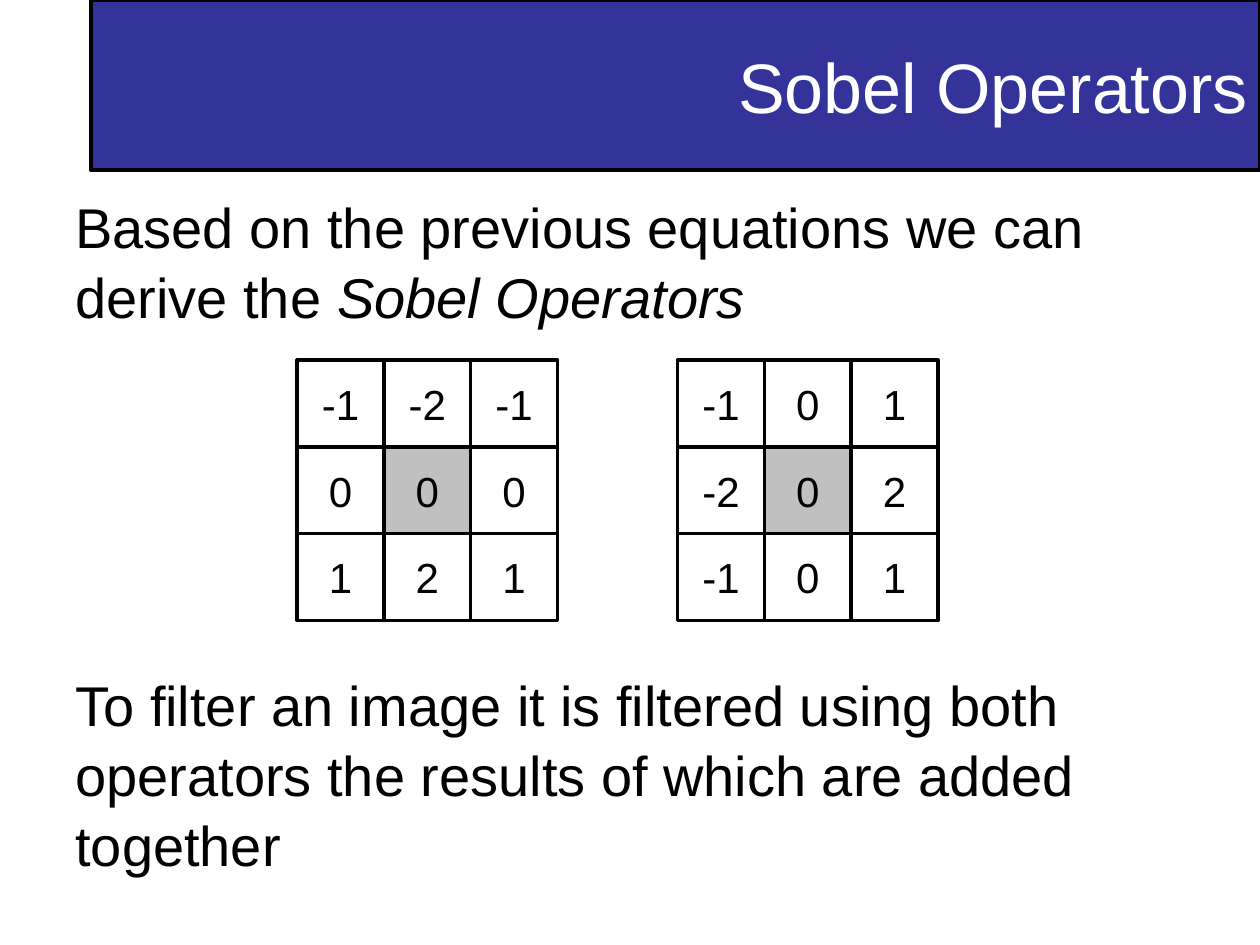
from pptx import Presentation, util as u
from pptx.dml.color import RGBColor
from pptx.enum import shapes, text

NAVY = RGBColor(0x33, 0x33, 0x99)
GREY = RGBColor(0xC0, 0xC0, 0xC0)
BLACK = RGBColor(0, 0, 0)
WHITE = RGBColor(0xFF, 0xFF, 0xFF)


def set_font(paragraph, size, color):
    paragraph.font.name = "Arial"
    paragraph.font.size = u.Pt(size)
    paragraph.font.color.rgb = color


def set_box(shape, fill):
    shape.fill.solid()
    shape.fill.fore_color.rgb = fill
    shape.line.color.rgb = BLACK
    shape.line.width = u.Pt(2)


prs = Presentation()
prs.slide_width = u.Cm(25.4)
prs.slide_height = u.Cm(19.05)
slide = prs.slides.add_slide(prs.slide_layouts[5])

heading = slide.shapes.title
heading.left, heading.top = u.Cm(1.83), u.Cm(0)
heading.width, heading.height = u.Cm(23.57), u.Cm(3.43)
set_box(heading, NAVY)
heading.text_frame.text = "Sobel Operators"
heading.text_frame.auto_size = text.MSO_AUTO_SIZE.NONE
heading.text_frame.vertical_anchor = text.MSO_ANCHOR.MIDDLE
heading.text_frame.paragraphs[0].alignment = text.PP_ALIGN.RIGHT
set_font(heading.text_frame.paragraphs[0], 40, WHITE)

explanation = slide.shapes.add_textbox(u.Cm(1.27), u.Cm(3.71), u.Cm(24.13), u.Cm(15.34)).text_frame
explanation.word_wrap = True
derivation = explanation.paragraphs[0]
derivation.add_run().text = "Based on the previous equations we can derive the "
operator_term = derivation.add_run()
operator_term.text = "Sobel Operators"
operator_term.font.italic = True
filtering = explanation.add_paragraph()
filtering.text = "To filter an image it is filtered using both operators the results of which are added together"
filtering.space_before = u.Pt(193)
for paragraph in explanation.paragraphs:
    paragraph.line_spacing = 1.04
    set_font(paragraph, 32, BLACK)

CELL = 1.75
KERNEL_TOP = 7.26
kernels = [
    (5.99, [[-1, -2, -1], [0, 0, 0], [1, 2, 1]]),
    (13.66, [[-1, 0, 1], [-2, 0, 2], [-1, 0, 1]]),
]
for kernel_left, weights in kernels:
    kernel = slide.shapes.add_group_shape()
    for row, row_weights in enumerate(weights):
        for col, weight in enumerate(row_weights):
            cell = kernel.shapes.add_shape(
                shapes.MSO_SHAPE.RECTANGLE,
                u.Cm(kernel_left + col * CELL), u.Cm(KERNEL_TOP + row * CELL),
                u.Cm(CELL), u.Cm(CELL))
            cell.shadow.inherit = False
            set_box(cell, GREY if row == col == 1 else WHITE)
            cell.text_frame.text = str(weight)
            cell.text_frame.word_wrap = False
            cell.text_frame.vertical_anchor = text.MSO_ANCHOR.MIDDLE
            cell.text_frame.paragraphs[0].alignment = text.PP_ALIGN.CENTER
            set_font(cell.text_frame.paragraphs[0], 24, BLACK)

prs.save("out.pptx")
